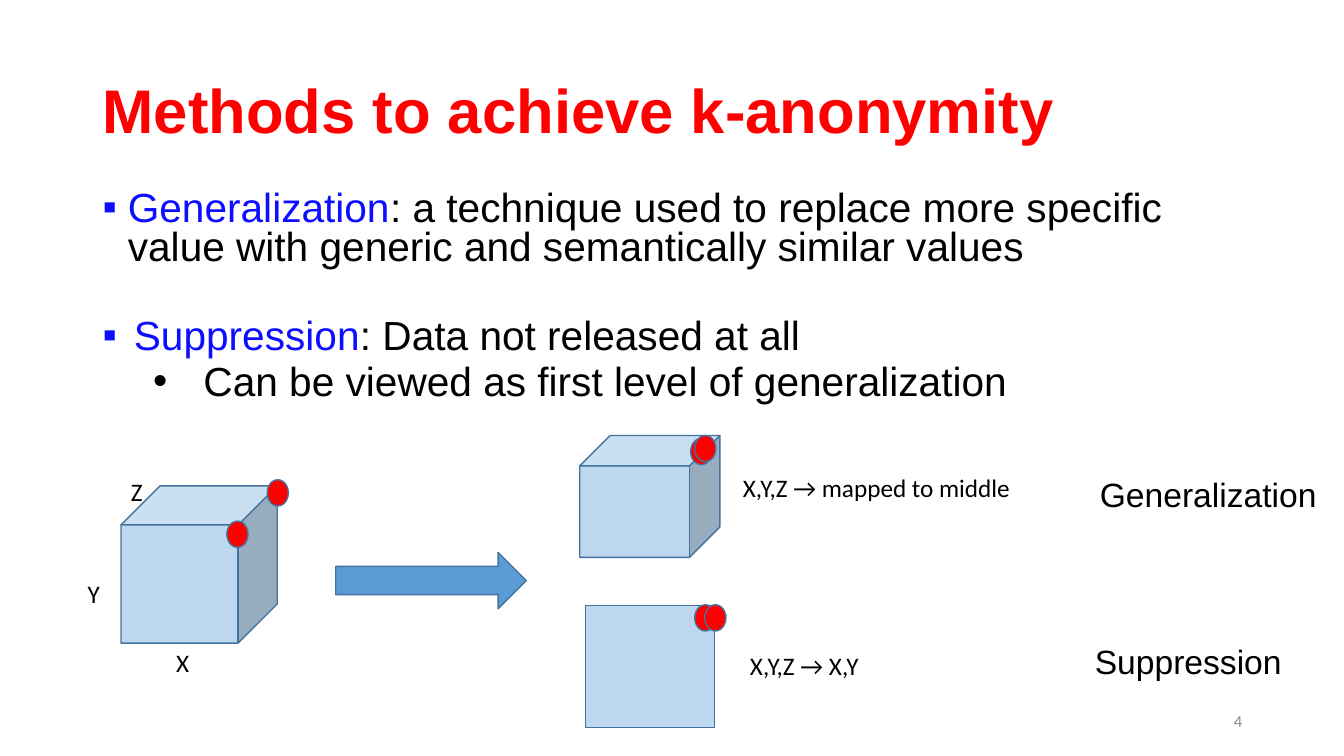
from pptx import Presentation
from pptx.util import Inches, Pt
from pptx.dml.color import RGBColor
from pptx.enum.shapes import MSO_SHAPE as Kind
from pptx.enum.text import PP_ALIGN as Align, MSO_ANCHOR as Anchor
from lxml.etree import SubElement
from pptx.oxml.ns import qn

RED = RGBColor(0xFF, 0, 0)
BLUE = RGBColor(0x0D, 0x0E, 0xFF)
BLACK = RGBColor(0, 0, 0)
GRAY = RGBColor(0x8C, 0x8C, 0x8C)
PALE = RGBColor(0xBD, 0xD7, 0xEE)
MID = RGBColor(0x5B, 0x9B, 0xD5)
EDGE = RGBColor(0x43, 0x73, 0x9E)

prs = Presentation()
prs.slide_width = Inches(13.33)
prs.slide_height = Inches(7.5)
slide = prs.slides.add_slide(prs.slide_layouts[6])


def add_text(text, x, y, w, h, size, face="Calibri", color=BLACK, wrap=False):
    box = slide.shapes.add_textbox(Inches(x), Inches(y), Inches(w), Inches(h))
    frame = box.text_frame
    frame.text = text
    frame.word_wrap = wrap
    font = frame.paragraphs[0].runs[0].font
    font.size, font.name = Pt(size), face
    font.color.rgb = color
    return frame


def add_form(kind, x, y, w, h, fill):
    form = slide.shapes.add_shape(kind, Inches(x), Inches(y), Inches(w), Inches(h))
    form.shadow.inherit = False
    form.fill.solid()
    form.fill.fore_color.rgb = fill
    form.line.color.rgb = EDGE
    form.line.width = Pt(1)


# Title
title = add_text("Methods to achieve k-anonymity", 0.92, 0.4, 11.5, 1.45, 44, "Arial", RED, True)
title.vertical_anchor = Anchor.MIDDLE
title.paragraphs[0].runs[0].font.bold = True
title.paragraphs[0].line_spacing = 0.9

# Bullets: term, rest, mark, level, left, hanging, space before
points = [
    ("Generalization", ": a technique used to replace more specific value with "
     "generic and semantically similar values", "▪", 0, 0.25, 0.25, 0),
    ("Suppression", ": Data not released at all", "▪", 0, 0.31, 0.31, 36),
    ("", "Can be viewed as first level of generalization", "•", 1, 1, 0.5, 5),
]
box = slide.shapes.add_textbox(Inches(0.92), Inches(1.85), Inches(11.5), Inches(2.29))
body = box.text_frame
body.word_wrap = True
for i, (term, rest, mark, level, left, hang, gap) in enumerate(points):
    para = body.add_paragraph() if i else body.paragraphs[0]
    para.level = level
    para.line_spacing = 0.8
    para.space_before = Pt(gap)
    props = para._p.get_or_add_pPr()
    props.set("marL", str(Inches(left)))
    props.set("indent", str(-Inches(hang)))
    SubElement(props, qn("a:buFont")).set("typeface", "Arial")
    SubElement(props, qn("a:buChar")).set("char", mark)
    for part, color in ((term, BLUE), (rest, BLACK)):
        if part:
            run = para.add_run()
            run.text = part
            run.font.size, run.font.name = Pt(29), "Arial"
            run.font.color.rgb = color

# Cubes, arrow and square
add_form(Kind.CUBE, 1.2, 4.82, 1.55, 1.56, PALE)
add_form(Kind.RIGHT_ARROW, 3.33, 5.48, 1.89, 0.56, MID)
add_form(Kind.RECTANGLE, 5.81, 6.01, 1.28, 1.21, PALE)
add_form(Kind.CUBE, 5.75, 4.32, 1.39, 1.21, PALE)

# Data points
for x, y in [(2.25, 5.17), (2.65, 4.76), (6.89, 6), (6.99, 6), (6.85, 4.35), (6.89, 4.32)]:
    add_form(Kind.OVAL, x, y, 0.21, 0.26, RED)

# Axis names and mappings
for text, x, y, w in [
    ("Z", 1.2, 4.68, 0.32),
    ("X", 1.65, 6.37, 0.33),
    ("Y", 0.77, 5.69, 0.32),
    ("X,Y,Z → X,Y", 7.34, 6.4, 1.4),
    ("X,Y,Z → mapped to middle", 7.27, 4.64, 2.96),
]:
    add_text(text, x, y, w, 0.4, 18)

# Method names
add_text("Generalization", 10.81, 4.65, 2.38, 0.5, 24, "Arial")
add_text("Suppression", 10.76, 6.31, 2.08, 0.5, 24, "Arial")

# Slide number
number = add_text("4", 9.42, 6.95, 3, 0.4, 12, color=GRAY, wrap=True)
number.vertical_anchor = Anchor.MIDDLE
number.paragraphs[0].alignment = Align.RIGHT

prs.save("out.pptx")
